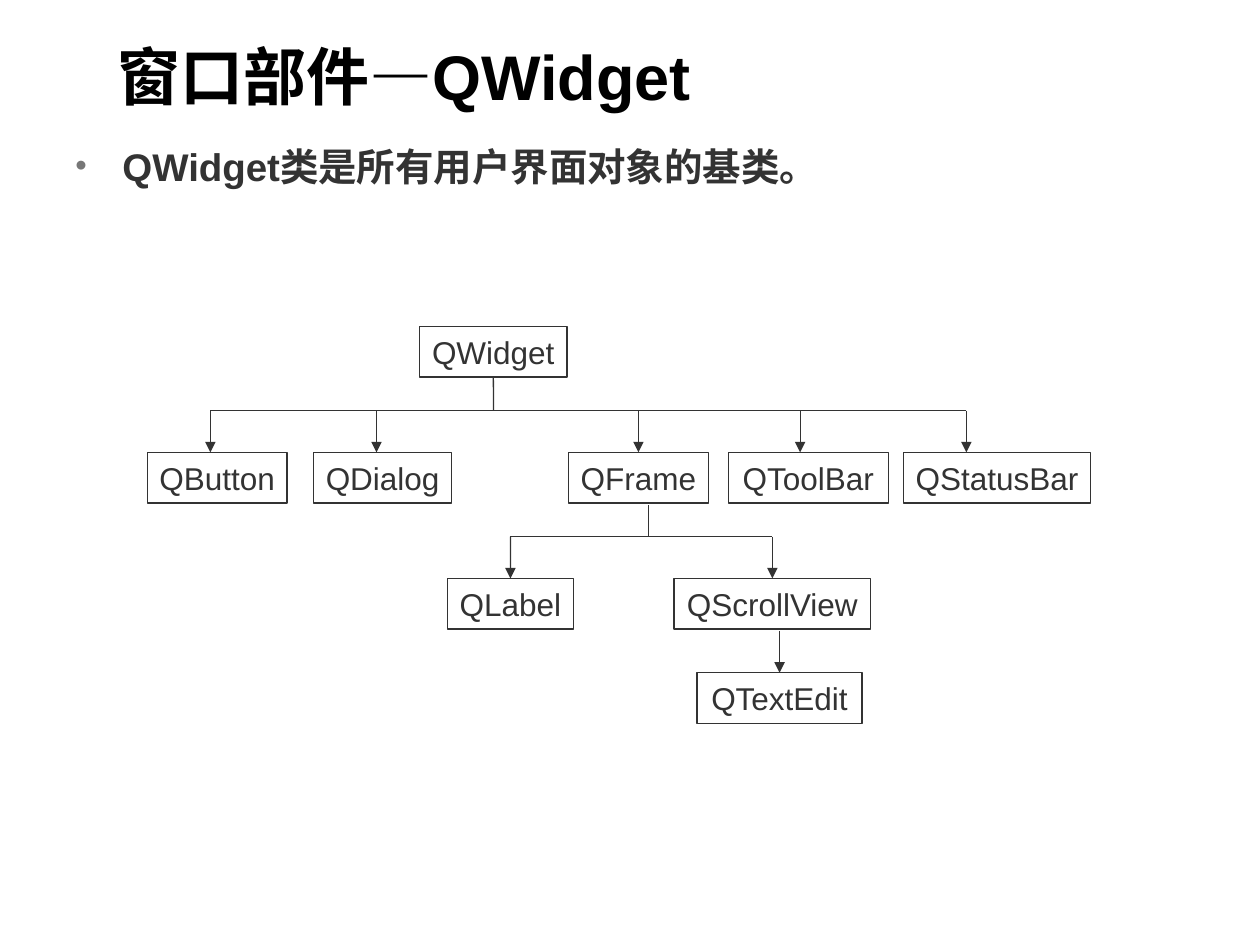
"""Build a slide showing the QWidget class tree."""
from typing import NamedTuple, Optional

from lxml import etree
from pptx import Presentation
from pptx.dml.color import RGBColor
from pptx.enum.shapes import MSO_CONNECTOR, MSO_SHAPE
from pptx.enum.text import MSO_ANCHOR, MSO_AUTO_SIZE, PP_ALIGN
from pptx.oxml.ns import qn
from pptx.util import Cm, Pt

BLACK = RGBColor(0x00, 0x00, 0x00)
DARK = RGBColor(0x33, 0x33, 0x33)
GREY = RGBColor(0x77, 0x77, 0x77)
RECT = MSO_SHAPE.RECTANGLE
LINE = MSO_CONNECTOR.STRAIGHT
MIDDLE = MSO_ANCHOR.MIDDLE
TOP = MSO_ANCHOR.TOP
NO_FIT = MSO_AUTO_SIZE.NONE
LEFT = PP_ALIGN.LEFT
CENTER = PP_ALIGN.CENTER
FONT = "Arial"
HIGH = 1.02
DROP = 0.84
GAP = 0.05


class Node(NamedTuple):
    name: str
    left: float
    top: float
    width: float
    entry: Optional[float] = None

    @property
    def mid(self) -> float:
        return self.left + self.width / 2

    @property
    def end(self) -> float:
        return self.mid if self.entry is None else self.entry


class Branch(NamedTuple):
    parent: str
    stem: float
    kids: list[str]


NODES = [
    Node("QWidget", 8.46, 6.58, 2.97),
    Node("QButton", 2.97, 9.12, 2.82, 4.24),
    Node("QDialog", 6.32, 9.12, 2.79, 7.59),
    Node("QFrame", 11.46, 9.12, 2.82),
    Node("QToolBar", 14.68, 9.12, 3.23, 16.13),
    Node("QStatusBar", 18.21, 9.12, 3.78, 19.48),
    Node("QLabel", 9.02, 11.66, 2.54),
    Node("QScrollView", 13.59, 11.66, 3.96),
    Node("QTextEdit", 14.05, 13.56, 3.33),
]
BRANCHES = [
    Branch("QWidget", 9.95,
           ["QButton", "QDialog", "QFrame", "QToolBar", "QStatusBar"]),
    Branch("QFrame", 13.08, ["QLabel", "QScrollView"]),
]


def write(shape, text: str, size: float, color: RGBColor, align, anchor,
          bold: bool = False):
    frame = shape.text_frame
    frame.text = text
    frame.vertical_anchor = anchor
    para = frame.paragraphs[0]
    para.alignment = align
    font = para.runs[0].font
    font.name, font.size, font.bold = FONT, Pt(size), bold
    font.color.rgb = color
    return frame


def add_bullet(para) -> None:
    props = para._p.get_or_add_pPr()
    props.set("marL", str(Cm(0.95)))
    props.set("indent", str(-Cm(0.95)))
    color = etree.SubElement(props, qn("a:buClr"))
    etree.SubElement(color, qn("a:srgbClr"), val=str(GREY))
    etree.SubElement(props, qn("a:buSzPct"), val="85000")
    etree.SubElement(props, qn("a:buFont"), typeface=FONT)
    etree.SubElement(props, qn("a:buChar"), char="•")


def add_node(slide, node: Node):
    box = slide.shapes.add_shape(RECT, Cm(node.left), Cm(node.top),
                                 Cm(node.width), Cm(HIGH))
    box.shadow.inherit = False
    box.fill.background()
    box.line.color.rgb = DARK
    box.line.width = Pt(0.75)
    frame = write(box, node.name, 18, DARK, CENTER, MIDDLE)
    frame.margin_left = frame.margin_right = Cm(0.1)
    frame.word_wrap = False
    frame.auto_size = NO_FIT
    return box


def add_line(slide, x1: float, y1: float, x2: float, y2: float,
             arrow: bool = False):
    line = slide.shapes.add_connector(LINE, Cm(x1), Cm(y1), Cm(x2), Cm(y2))
    line.line.color.rgb = DARK
    line.line.width = Pt(0.75)
    if arrow:
        etree.SubElement(line.line._get_or_add_ln(), qn("a:tailEnd"),
                         type="triangle")
    etree.SubElement(line._element.spPr, qn("a:effectLst"))
    return line


def add_drop(slide, node: Node, box) -> None:
    line = add_line(slide, node.end, node.top - DROP, node.end, node.top, True)
    if node.entry is None:
        line.end_connect(box, 0)


def add_branch(slide, branch: Branch, nodes: dict, boxes: dict) -> None:
    parent = nodes[branch.parent]
    kids = [nodes[name] for name in branch.kids]
    rail = kids[0].top - DROP
    add_line(slide, kids[0].end, rail, kids[-1].end, rail)
    stem = add_line(slide, branch.stem, parent.top + HIGH + GAP,
                    branch.stem, rail)
    if abs(branch.stem - parent.mid) < 0.01:
        stem.begin_connect(boxes[parent.name], 2)
    for kid in kids:
        add_drop(slide, kid, boxes[kid.name])


def main() -> None:
    deck = Presentation()
    deck.slide_width, deck.slide_height = Cm(25.4), Cm(19.05)
    slide = deck.slides.add_slide(deck.slide_layouts[5])

    title = slide.shapes.title
    title.left, title.top = Cm(2.11), Cm(0.64)
    title.width, title.height = Cm(22.02), Cm(1.98)
    frame = write(title, "窗口部件—QWidget", 36, BLACK, LEFT, MIDDLE, True)
    frame.margin_bottom = Cm(0.37)
    frame.auto_size = NO_FIT

    body = slide.shapes.add_textbox(Cm(1.27), Cm(2.75), Cm(22.86), Cm(13.97))
    frame = write(body, "QWidget类是所有用户界面对象的基类。", 22, DARK,
                  LEFT, TOP, True)
    frame.word_wrap = True
    add_bullet(frame.paragraphs[0])

    nodes = {node.name: node for node in NODES}
    boxes = {node.name: add_node(slide, node) for node in NODES}
    for branch in BRANCHES:
        add_branch(slide, branch, nodes, boxes)
    add_drop(slide, nodes["QTextEdit"], boxes["QTextEdit"])

    deck.save("out.pptx")


if __name__ == "__main__":
    main()
